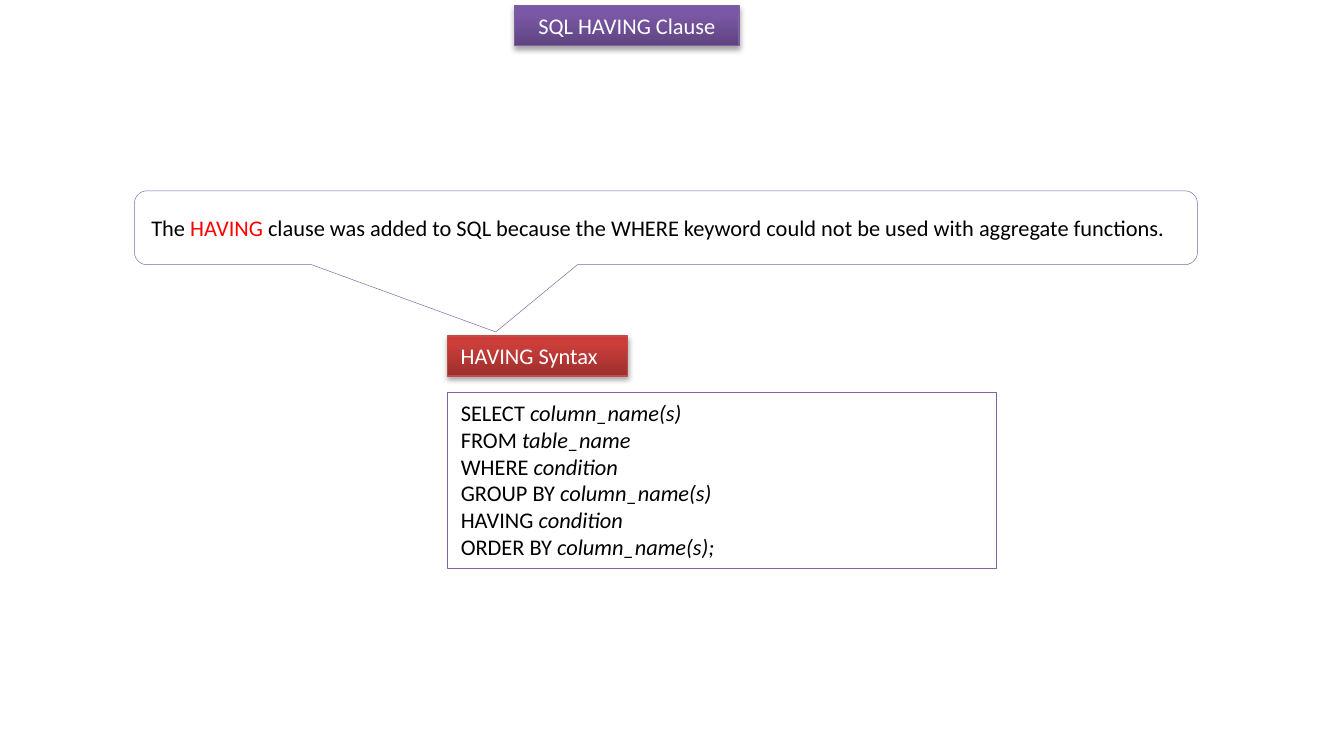
from copy import deepcopy
from pptx import Presentation
from pptx.dml.color import RGBColor as RGB
from pptx.enum.shapes import MSO_SHAPE as Kind
from pptx.enum.text import MSO_ANCHOR as Anchor, PP_ALIGN as Align
from pptx.oxml import parse_xml
from pptx.oxml.ns import nsdecls, qn
from pptx.util import Inches, Pt

WHITE = RGB(0xFF, 0xFF, 0xFF)
BLACK = RGB(0, 0, 0)
RED = RGB(0xFF, 0, 0)
VIOLET = RGB(0x80, 0x64, 0xA2)
PURPLE = [RGB(0x5F, 0x44, 0x80), RGB(0x7B, 0x58, 0xA6), RGB(0x7C, 0x57, 0xA8)]
PURPLE_EDGE = RGB(0x7D, 0x60, 0xA0)
CRIMSON = [RGB(0x9C, 0x2F, 0x2D), RGB(0xCB, 0x3E, 0x3A), RGB(0xCE, 0x3B, 0x37)]
CRIMSON_EDGE = RGB(0xBF, 0x4C, 0x48)
STOPS = [0, 0.8, 1]
FONT = {"name": "Calibri", "size": Pt(12), "bold": False}
FRAME = {
    "word_wrap": True,
    "margin_left": Inches(0.1),
    "margin_right": Inches(0.1),
    "margin_top": Inches(0.05),
    "margin_bottom": Inches(0.05),
}
SYNTAX = [
    ("SELECT ", "column_name(s)"),
    ("FROM ", "table_name"),
    ("WHERE ", "condition"),
    ("GROUP BY ", "column_name(s)"),
    ("HAVING ", "condition"),
    ("ORDER BY ", "column_name(s);"),
]


def apply(item, values):
    for key, value in values.items():
        setattr(item, key, value)


def set_text(shape, anchor, align=Align.LEFT):
    frame = shape.text_frame
    apply(frame, FRAME | {"vertical_anchor": anchor})
    para = frame.paragraphs[0]
    para.alignment = align
    return para


def add_run(para, text, color, italic=False):
    run = para.add_run()
    run.text = text
    apply(run.font, FONT | {"italic": italic})
    run.font.color.rgb = color


def set_line(shape, color, width):
    shape.line.color.rgb = color
    shape.line.width = Pt(width)


def add_box(slide, kind, box):
    shape = slide.shapes.add_shape(kind, *map(Inches, box))
    shape.shadow.inherit = False
    return shape


def add_plain(slide, kind, box):
    shape = add_box(slide, kind, box)
    shape.fill.solid()
    shape.fill.fore_color.rgb = WHITE
    set_line(shape, VIOLET, 0.25)
    return shape


def set_glossy(shape, colors, edge):
    fill = shape.fill
    fill.gradient()
    fill.gradient_angle = 90
    props = shape._element.spPr
    stops = props.find(".//" + qn("a:gsLst"))
    stops.append(deepcopy(stops[-1]))
    for stop, place, color in zip(fill.gradient_stops, STOPS, colors):
        stop.position = place
        stop.color.rgb = color
    set_line(shape, edge, 0.75)
    shape.shadow.inherit = False
    props.find(qn("a:effectLst")).append(parse_xml(
        f'<a:outerShdw {nsdecls("a")} blurRad="{Pt(3.1)}" dist="{Pt(1.8)}" '
        'dir="5400000" rotWithShape="0"><a:srgbClr val="000000">'
        '<a:alpha val="35000"/></a:srgbClr></a:outerShdw>'))


def put_title(slide, box):
    title = slide.shapes.title
    apply(title, dict(zip(("left", "top", "width", "height"), map(Inches, box))))
    set_glossy(title, PURPLE, PURPLE_EDGE)
    add_run(set_text(title, Anchor.TOP, Align.CENTER), "SQL HAVING Clause", WHITE)


def put_syntax(slide, box):
    left, top, width, height = box
    code = add_plain(slide, Kind.RECTANGLE, (left, top + 0.42, width, height - 0.42))
    para = set_text(code, Anchor.TOP)
    for row, (word, name) in enumerate(SYNTAX):
        if row:
            para.add_line_break()
        add_run(para, word, BLACK)
        add_run(para, name, BLACK, True)
    label = add_box(slide, Kind.RECTANGLE, (left, top, 1.34, 0.3))
    set_glossy(label, CRIMSON, CRIMSON_EDGE)
    add_run(set_text(label, Anchor.TOP), "HAVING Syntax", WHITE)


def put_callout(slide, box):
    callout = add_plain(slide, Kind.ROUNDED_RECTANGULAR_CALLOUT, box)
    for spot, value in enumerate((-0.16, 1.41, 0.17)):
        callout.adjustments[spot] = value
    para = set_text(callout, Anchor.MIDDLE)
    add_run(para, "The ", BLACK)
    add_run(para, "HAVING", RED)
    add_run(para, " clause was added to SQL because the WHERE keyword "
                  "could not be used with aggregate functions.", BLACK)


def main():
    deck = Presentation()
    deck.slide_width, deck.slide_height = Inches(10), Inches(5.5)
    slide = deck.slides.add_slide(deck.slide_layouts[5])
    put_title(slide, (3.83, 0.04, 1.67, 0.3))
    put_syntax(slide, (3.33, 2.5, 4.08, 1.73))
    put_callout(slide, (1, 1.42, 7.91, 0.55))
    deck.save("out.pptx")


if __name__ == "__main__":
    main()
